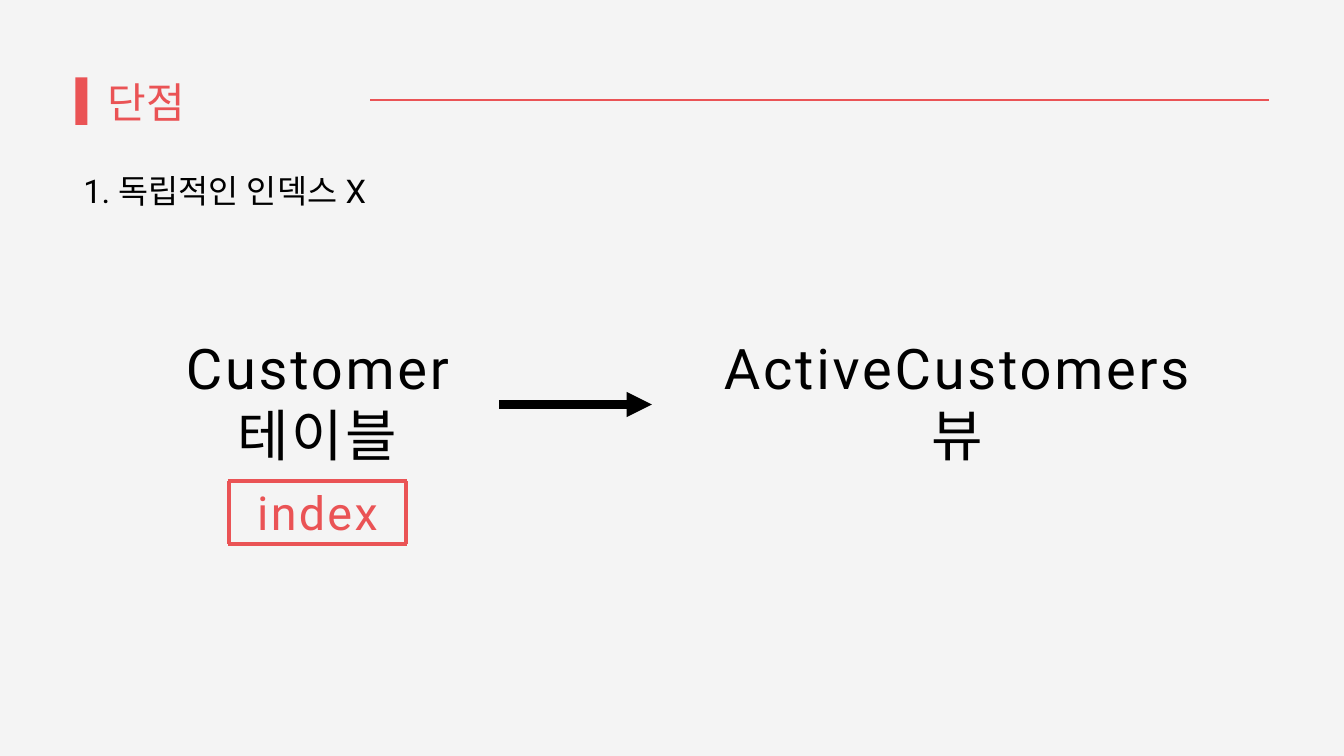
from dataclasses import dataclass

from lxml import etree
from pptx import Presentation
from pptx.dml.color import RGBColor as Color
from pptx.enum.shapes import MSO_CONNECTOR as Connector, MSO_SHAPE as Shape
from pptx.enum.text import MSO_ANCHOR as Anchor, MSO_AUTO_SIZE as AutoSize, PP_ALIGN as Align
from pptx.oxml.ns import qn
from pptx.util import Inches, Pt


@dataclass(frozen=True)
class Theme:
    font: str = "Roboto"
    background: Color = Color(0xF4, 0xF4, 0xF4)
    accent: Color = Color(0xEA, 0x53, 0x55)
    ink: Color = Color(0, 0, 0)
    title_size: float = 45
    point_size: float = 35
    object_size: float = 60
    index_size: float = 50


class SlideBuilder:
    def __init__(self, slide, theme):
        self.slide = slide
        self.theme = theme
        slide.background.fill.solid()
        slide.background.fill.fore_color.rgb = theme.background

    def format_text(self, holder, lines, size, color, leading, align=Align.LEFT, tracking=0):
        frame = holder.text_frame
        frame.word_wrap = True
        frame.auto_size = AutoSize.NONE
        frame.vertical_anchor = Anchor.TOP
        frame.margin_left = frame.margin_top = frame.margin_right = frame.margin_bottom = 0
        frame.text = "\n".join(lines)
        for paragraph in frame.paragraphs:
            paragraph.alignment = align
            paragraph.line_spacing = Pt(leading)
            paragraph.space_before = Pt(0)
            font = paragraph.font
            font.size, font.name = Pt(size), self.theme.font
            font.color.rgb = color
            # Letter spacing and the East Asian typeface
            defaults = paragraph._p.pPr.find(qn("a:defRPr"))
            defaults.set("spc", str(int(tracking * 100)))
            etree.SubElement(defaults, qn("a:ea"), typeface=self.theme.font)

    def title(self, text, left, top, width, height):
        title = self.slide.shapes.title
        title.left, title.top = Inches(left), Inches(top)
        title.width, title.height = Inches(width), Inches(height)
        self.format_text(title, [text], self.theme.title_size, self.theme.accent, 58.5)

    def text(self, lines, left, top, width, height, size, color, leading, parent=None, **style):
        shapes = (parent or self.slide).shapes
        box = shapes.add_textbox(Inches(left), Inches(top), Inches(width), Inches(height))
        self.format_text(box, lines, size, color, leading, **style)

    def bar(self, left, top, width, height):
        bar = self.slide.shapes.add_shape(
            Shape.RECTANGLE, Inches(left), Inches(top), Inches(width), Inches(height))
        bar.shadow.inherit = False
        bar.fill.solid()
        bar.fill.fore_color.rgb = self.theme.accent
        bar.line.fill.background()

    def line(self, x1, y1, x2, y2, color, weight, parent=None, arrow=False):
        shapes = (parent or self.slide).shapes
        line = shapes.add_connector(
            Connector.STRAIGHT, Inches(x1), Inches(y1), Inches(x2), Inches(y2))
        line.line.color.rgb = color
        line.line.width = Pt(weight)
        if arrow:
            etree.SubElement(line.line._get_or_add_ln(), qn("a:tailEnd"), type="triangle")
        etree.SubElement(line._element.spPr, qn("a:effectLst"))

    def database_object(self, name, kind, left, width):
        self.text([name, kind], left, 4.96, width, 2, self.theme.object_size,
                  self.theme.ink, 72, align=Align.CENTER, tracking=3)

    def index_badge(self, label):
        badge = self.slide.shapes.add_group_shape()
        self.text([label], 3.75, 7.2, 1.95, 0.84, self.theme.index_size, self.theme.accent,
                  60, parent=badge, align=Align.CENTER, tracking=2.5)
        left, right, top, bottom, overhang = 3.41, 6.04, 7.16, 8.09, 0.02
        for x in (left, right):
            self.line(x, bottom, x, top, self.theme.accent, 4.52, badge)
        for y in (top, bottom):
            self.line(left - overhang, y, right + overhang, y, self.theme.accent, 4.52, badge)


def main():
    deck = Presentation()
    deck.slide_width, deck.slide_height = Inches(20), Inches(11.25)
    theme = Theme()
    title_only = deck.slide_layouts[5]
    page = SlideBuilder(deck.slides.add_slide(title_only), theme)

    # Heading
    page.bar(1.12, 1.15, 0.18, 0.71)
    page.title("단점", 1.6, 1.08, 5.27, 0.79)
    page.line(5.51, 1.49, 18.88, 1.49, theme.accent, 1.5)

    # Drawback
    page.text(["1. 독립적인 인덱스 X"], 1.24, 2.5, 8.11, 0.61, theme.point_size, theme.ink, 45.5)

    # Table leading to view
    page.database_object("Customer", "테이블", 2.53, 4.39)
    page.database_object("ActiveCustomers", "뷰", 10.4, 7.68)
    page.line(7.43, 6.02, 9.7, 6.02, theme.ink, 9, arrow=True)

    # Index that only the table has
    page.index_badge("index")

    deck.save("out.pptx")


if __name__ == "__main__":
    main()
